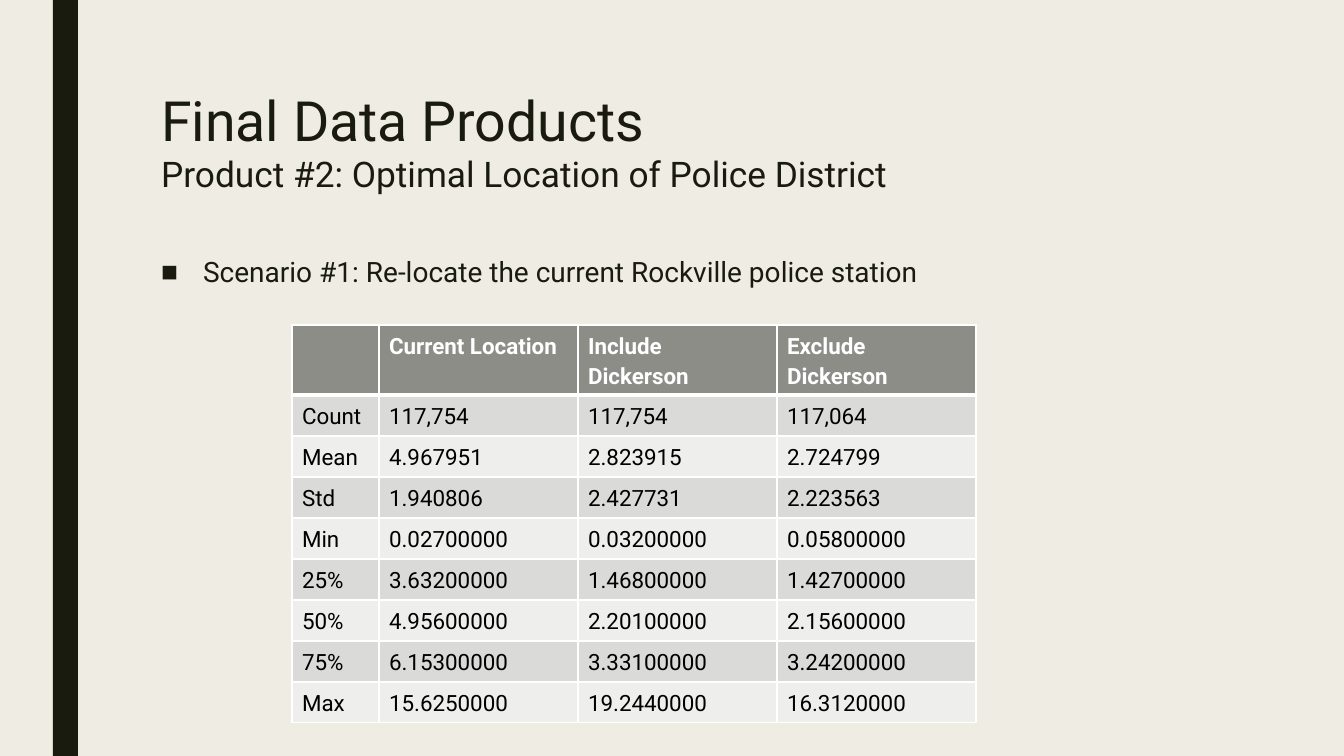
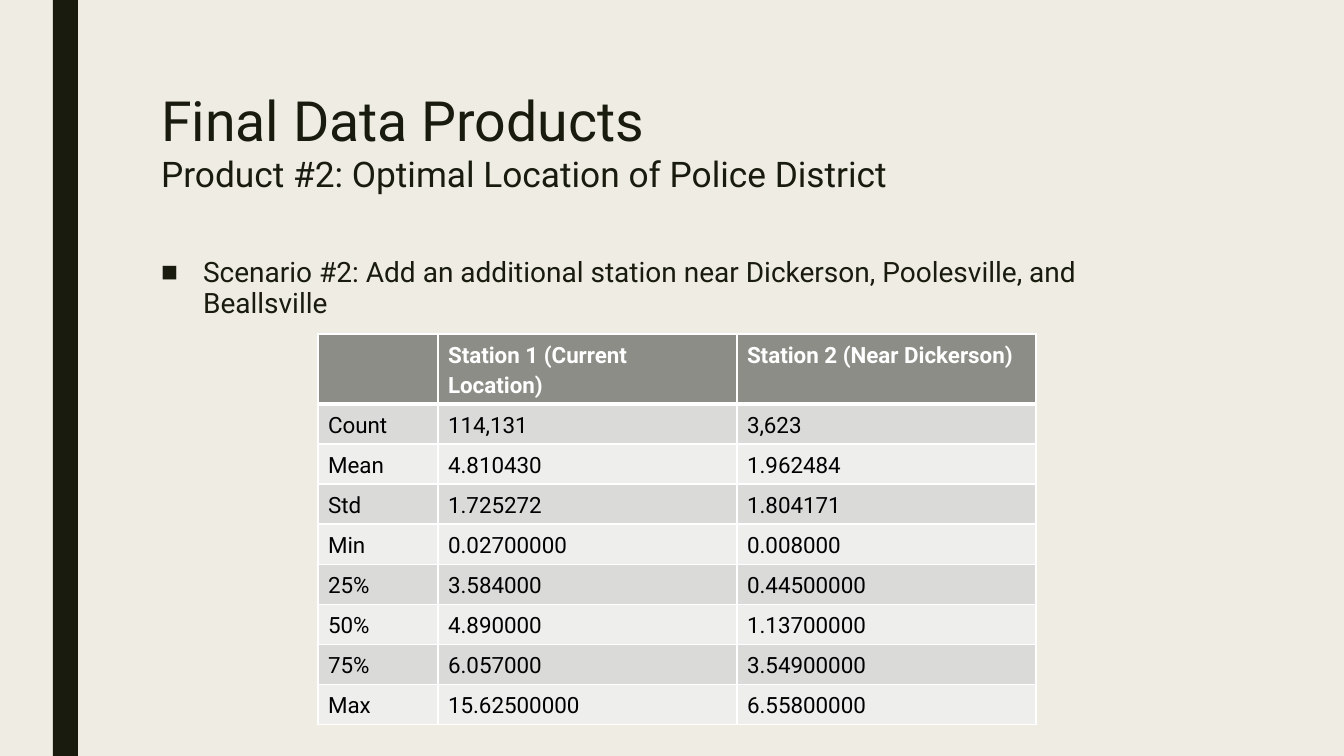
from lxml import etree
from pptx import Presentation
from pptx.dml.color import RGBColor
from pptx.enum.shapes import MSO_SHAPE
from pptx.enum.text import MSO_ANCHOR, MSO_AUTO_SIZE, PP_ALIGN
from pptx.oxml.ns import qn
from pptx.util import Pt

RECTANGLE = MSO_SHAPE.RECTANGLE
TOP = MSO_ANCHOR.TOP
NO_AUTOFIT = MSO_AUTO_SIZE.NONE
LEFT = PP_ALIGN.LEFT

SLIDE_W, SLIDE_H = 1344, 756
EMU_PER_PX = 12192000 / SLIDE_W
FONT = "Roboto"
COLORS = {
    "paper": "EFEDE3",
    "ink": "191B0E",
    "header": "8C8D86",
    "odd_row": "DADBD9",
    "even_row": "EEEEED",
    "white": "FFFFFF",
    "black": "000000",
}
HEADER_H = 70
STATISTICS = ["Count", "Mean", "Std", "Min", "25%", "50%", "75%", "Max"]


def px(length):
    return round(length * EMU_PER_PX)


def rgb(name):
    return RGBColor.from_string(COLORS[name])


class Deck:
    """Shared style and the slide being filled."""

    def __init__(self):
        self.prs = Presentation()
        self.prs.slide_width, self.prs.slide_height = px(SLIDE_W), px(SLIDE_H)
        self.master = self.prs.slide_master
        self.fill(self.master.background, "paper")
        self.slide = None

    def fill(self, target, color):
        target.fill.solid()
        target.fill.fore_color.rgb = rgb(color)

    def new_slide(self):
        self.slide = self.prs.slides.add_slide(self.prs.slide_layouts[1])
        if len(self.prs.slides) == 1:
            self.master_band()

    def master_band(self):
        """Side band, moved to the master so that every slide shows it."""
        band = self.slide.shapes.add_shape(
            RECTANGLE, px(53), 0, px(25), px(SLIDE_H))
        band.shadow.inherit = False
        self.fill(band, "ink")
        band.line.fill.background()
        band.element.xpath(".//p:cNvPr")[0].set("id", "20")
        self.master.shapes.element.insert(2, band.element)

    def run(self, paragraph, text, size, color="ink", bold=False):
        run = paragraph.add_run()
        run.text = text
        font = run.font
        font.name, font.size, font.bold = FONT, Pt(size), bold
        font.color.rgb = rgb(color)

    def place(self, holder, left, top, width, height, inset_top):
        """Move a placeholder and return its first paragraph."""
        holder.left, holder.top = px(left), px(top)
        holder.width, holder.height = px(width), px(height)
        frame = holder.text_frame
        frame.word_wrap = True
        frame.auto_size = NO_AUTOFIT
        frame.vertical_anchor = TOP
        frame.margin_top = px(inset_top)
        paragraph = frame.paragraphs[0]
        paragraph.alignment = LEFT
        return paragraph

    def title(self, heading, subheading):
        paragraph = self.place(
            self.slide.shapes.title, 151, 76, 1058, 163, inset_top=10)
        self.run(paragraph, heading, 39.6)
        paragraph.add_line_break()
        etree.SubElement(paragraph._p[-1], qn("a:rPr"), sz="3960")
        self.run(paragraph, subheading, 25.2)

    def bullet(self, text):
        paragraph = self.place(
            self.slide.placeholders[1], 151, 252, 1058, 395, inset_top=5)
        paragraph.line_spacing = 0.94
        paragraph.space_before, paragraph.space_after = Pt(0), Pt(2)
        properties = paragraph._p.get_or_add_pPr()
        properties.set("marL", str(px(42)))
        properties.set("indent", str(px(-42)))
        etree.SubElement(properties, qn("a:buChar"), char="■")
        self.run(paragraph, text, 20)

    def borders(self, cell, **widths):
        """White cell borders; they precede the fill in the XML."""
        properties = cell._tc.get_or_add_tcPr()
        for side in "LRTB":
            line = etree.SubElement(properties, qn(f"a:ln{side}"),
                                    w=str(Pt(widths.get(side, 1))))
            solid = etree.SubElement(line, qn("a:solidFill"))
            etree.SubElement(solid, qn("a:srgbClr"), val=COLORS["white"])

    def table(self, left, top, col_widths, row_height, rows):
        heights = [HEADER_H] + [row_height] * (len(rows) - 1)
        table = self.slide.shapes.add_table(
            len(rows), len(col_widths), px(left), px(top),
            px(sum(col_widths)), px(sum(heights))).table
        table.horz_banding = False
        for column, width in zip(table.columns, col_widths):
            column.width = px(width)
        for r, (values, height) in enumerate(zip(rows, heights)):
            table.rows[r].height = px(height)
            is_header = r == 0
            shade = "header" if is_header else "odd_row" if r % 2 else "even_row"
            for c, value in enumerate(values):
                cell = table.cell(r, c)
                self.borders(cell, B=3 if is_header else 1, T=3 if r == 1 else 1)
                self.fill(cell, shade)
                paragraph = cell.text_frame.paragraphs[0]
                paragraph.line_spacing = 1.15
                if value:
                    self.run(paragraph, value, 16,
                             "white" if is_header else "black", is_header)


# Content: one entry per scenario, table values by column
SCENARIOS = [
    {
        "text": "Scenario #1: Re-locate the current Rockville police station",
        "origin": (292, 325),
        "col_widths": [87, 199, 199, 199],
        "row_height": 41,
        "columns": {
            "Current Location": [
                "117,754", "4.967951", "1.940806", "0.02700000",
                "3.63200000", "4.95600000", "6.15300000", "15.6250000"],
            "Include Dickerson": [
                "117,754", "2.823915", "2.427731", "0.03200000",
                "1.46800000", "2.20100000", "3.33100000", "19.2440000"],
            "Exclude Dickerson": [
                "117,064", "2.724799", "2.223563", "0.05800000",
                "1.42700000", "2.15600000", "3.24200000", "16.3120000"],
        },
    },
    {
        "text": "Scenario #2: Add an additional station near Dickerson, "
                "Poolesville, and Beallsville",
        "origin": (318, 334),
        "col_widths": [120, 299, 299],
        "row_height": 40,
        "columns": {
            "Station 1 (Current Location)": [
                "114,131", "4.810430", "1.725272", "0.02700000",
                "3.584000", "4.890000", "6.057000", "15.62500000"],
            "Station 2 (Near Dickerson)": [
                "3,623", "1.962484", "1.804171", "0.008000",
                "0.44500000", "1.13700000", "3.54900000", "6.55800000"],
        },
    },
]


def main():
    deck = Deck()
    for scenario in SCENARIOS:
        deck.new_slide()
        deck.title("Final Data Products",
                   "Product #2: Optimal Location of Police District")
        deck.bullet(scenario["text"])
        columns = scenario["columns"]
        rows = [["", *columns], *zip(STATISTICS, *columns.values())]
        deck.table(*scenario["origin"], scenario["col_widths"],
                   scenario["row_height"], rows)
    deck.prs.save("out.pptx")


if __name__ == "__main__":
    main()
